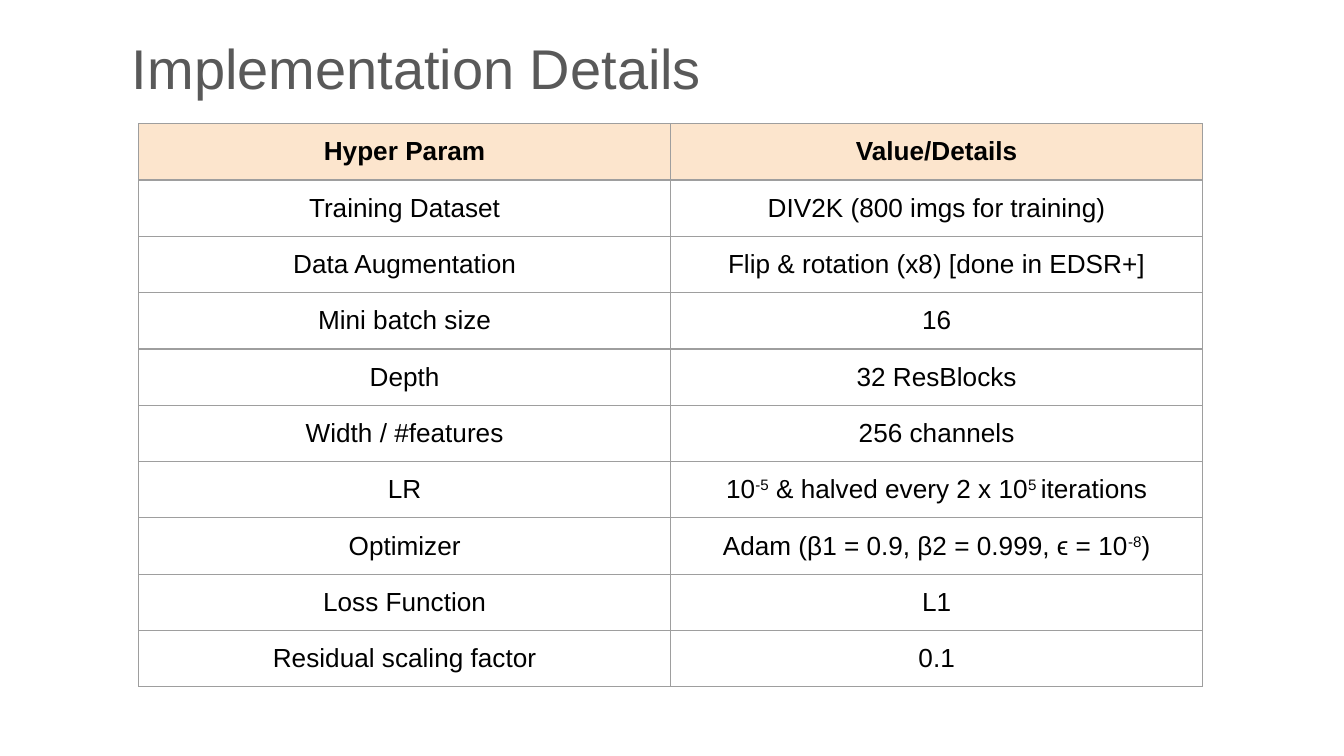
from lxml.etree import SubElement
from pptx import Presentation
from pptx.dml.color import RGBColor
from pptx.enum.text import MSO_ANCHOR, PP_ALIGN
from pptx.oxml.ns import qn
from pptx.util import Pt

# "^" switches superscript on and off
ROWS = [
    ("Hyper Param", "Value/Details"),
    ("Training Dataset", "DIV2K (800 imgs for training)"),
    ("Data Augmentation", "Flip & rotation (x8) [done in EDSR+]"),
    ("Mini batch size", "16"),
    ("Depth", "32 ResBlocks"),
    ("Width / #features", "256 channels"),
    ("LR", "10^-5^ & halved every 2 x 10^5 ^iterations"),
    ("Optimizer", "Adam (β1 = 0.9, β2 = 0.999, ϵ = 10^-8^)"),
    ("Loss Function", "L1"),
    ("Residual scaling factor", "0.1"),
]


def color(value):
    return RGBColor.from_string(value)


class SlideBuilder:
    font = "Arial"
    title_color = "595959"
    text_color = "000000"
    header_fill = "FCE5CD"
    border_color = "9E9E9E"
    border_width = 0.75
    inset = 7.2

    def __init__(self, page):
        self.page = page

    def format_span(self, span, size, shade, bold=False):
        span.font.name = self.font
        span.font.size = Pt(size)
        span.font.bold = bold
        span.font.color.rgb = color(shade)

    def set_margins(self, box):
        box.margin_left = box.margin_right = Pt(self.inset)
        box.margin_top = box.margin_bottom = Pt(self.inset)

    def title(self, text, left, top, width, height):
        box = self.page.shapes.title
        box.left, box.top = Pt(left), Pt(top)
        box.width, box.height = Pt(width), Pt(height)
        frame = box.text_frame
        frame.text = text
        frame.word_wrap = True
        frame.vertical_anchor = MSO_ANCHOR.TOP
        self.set_margins(frame)
        para = frame.paragraphs[0]
        para.alignment = PP_ALIGN.LEFT
        self.format_span(para.runs[0], 30, self.title_color)

    def table(self, rows, left, top, width, row_height):
        grid = self.page.shapes.add_table(
            len(rows), len(rows[0]), Pt(left), Pt(top),
            Pt(width), Pt(row_height * len(rows))).table
        grid.first_row = True
        grid.horz_banding = False
        for row_index, row in enumerate(rows):
            for column_index, text in enumerate(row):
                self.cell(grid.cell(row_index, column_index), text, row_index == 0)

    def cell(self, cell, text, header):
        self.set_margins(cell)
        self.borders(cell)
        if header:
            cell.fill.solid()
            cell.fill.fore_color.rgb = color(self.header_fill)
        else:
            cell.fill.background()
        para = cell.text_frame.paragraphs[0]
        para.alignment = PP_ALIGN.CENTER
        for index, part in enumerate(text.split("^")):
            span = para.add_run()
            span.text = part
            self.format_span(span, 14, self.text_color, header)
            if index % 2:
                span.font._element.set("baseline", "30000")

    def borders(self, cell):
        properties = cell._tc.get_or_add_tcPr()
        for side in ("a:lnL", "a:lnR", "a:lnT", "a:lnB"):
            line = SubElement(properties, qn(side), w=str(Pt(self.border_width)))
            fill = SubElement(line, qn("a:solidFill"))
            SubElement(fill, qn("a:srgbClr"), val=self.border_color)


def main():
    deck = Presentation()
    deck.slide_width, deck.slide_height = Pt(720), Pt(405)
    # Title-only layout
    builder = SlideBuilder(deck.slides.add_slide(deck.slide_layouts[5]))

    # Heading and hyperparameter table
    builder.title("Implementation Details", 63.5, 11, 570, 51)
    builder.table(ROWS, 74.3, 66.3, 570, 30)

    deck.save("out.pptx")


if __name__ == "__main__":
    main()
